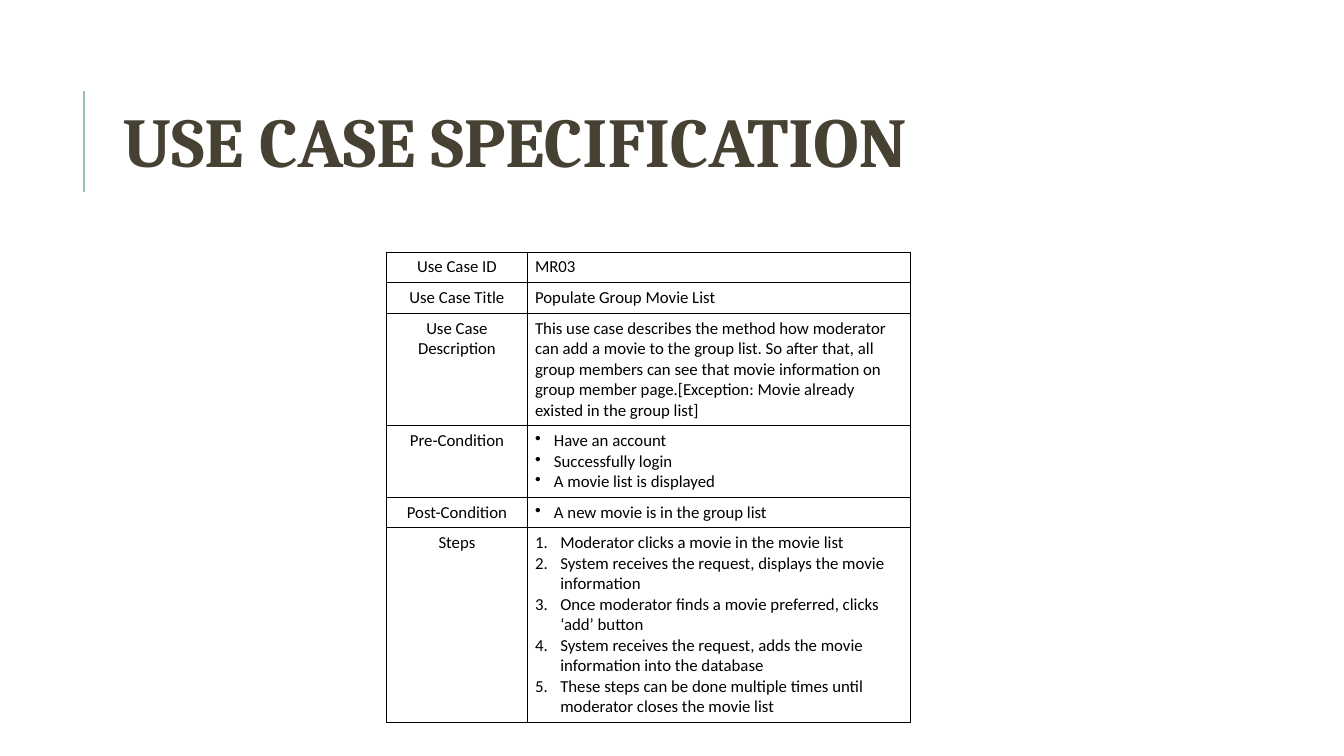
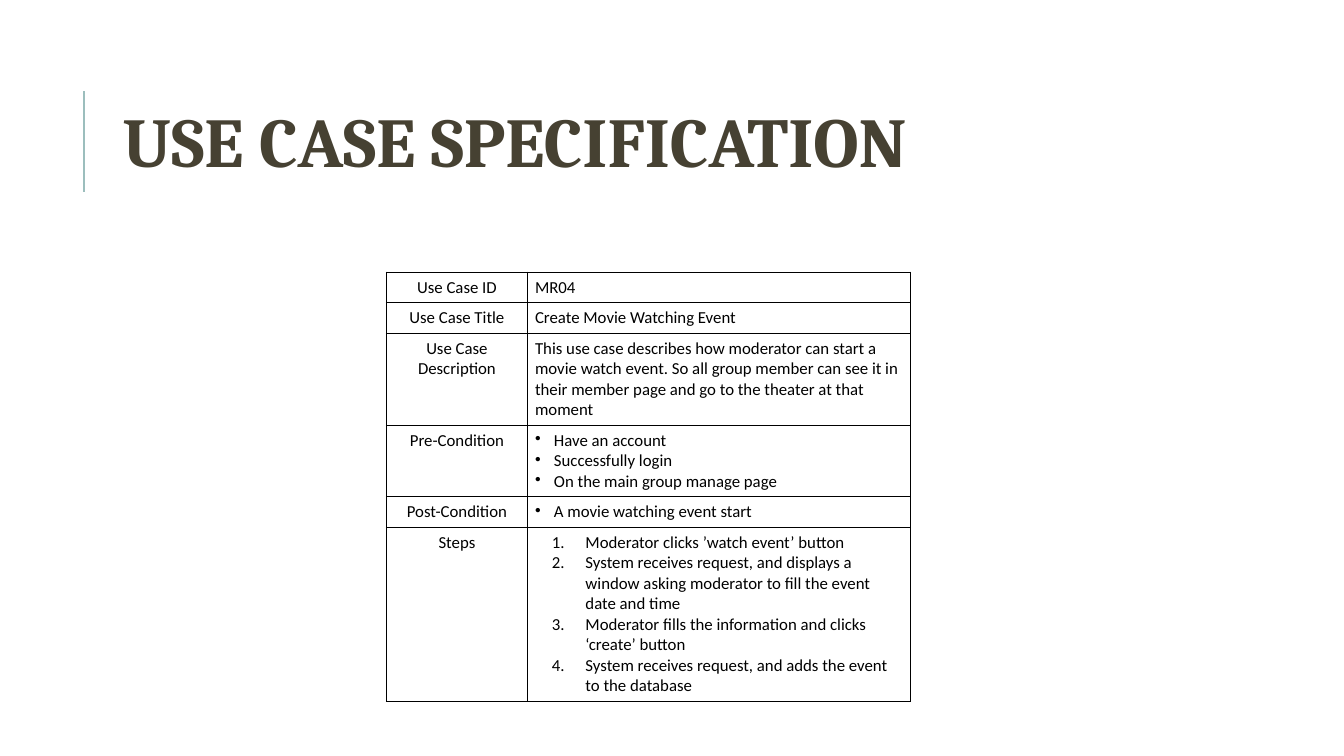
from lxml import etree
from pptx import Presentation
from pptx.dml.color import RGBColor
from pptx.enum.shapes import MSO_CONNECTOR
from pptx.enum.text import MSO_ANCHOR, PP_ALIGN
from pptx.oxml import parse_xml
from pptx.oxml.ns import qn
from pptx.util import Pt

STRAIGHT = MSO_CONNECTOR.STRAIGHT
MIDDLE = MSO_ANCHOR.MIDDLE
LEFT, CENTER = PP_ALIGN.LEFT, PP_ALIGN.CENTER

# Shared style
TITLE = "USE CASE SPECIFICATION"
TITLE_COLOR, ACCENT, BLACK = "464132", "9CBEBD", "000000"
TABLE_LEFT = 276
COLUMN_WIDTHS = (100.8, 273.6)
LINE_HEIGHT, MARGIN_X, MARGIN_Y = 14.64, 5.4, 3.6
NS = 'xmlns:a="http://schemas.openxmlformats.org/drawingml/2006/main"'
BULLET = '<a:buChar %s char="•"/>' % NS
NUMBER = '<a:buAutoNum %s type="arabicPeriod"/>' % NS
BORDER = ('<a:{side} %s w="9525"><a:solidFill><a:srgbClr val="{color}"/>'
          '</a:solidFill></a:{side}>' % NS)

# Each row: label, paragraphs, text lines in the row
# Each list style: marker, left indent, hanging indent
BULLETS = (BULLET, 13.5, 13.5)
LABELS = ("Use Case ID", "Use Case Title", "Use Case Description",
          "Pre-Condition", "Post-Condition", "Steps")
USE_CASES = [
    {
        "top": 180,
        "lines": (1, 1, 5, 3, 1, 9),
        "steps": (NUMBER, 18, 18),
        "details": (
            ["MR03"],
            ["Populate Group Movie List"],
            ["This use case describes the method how moderator can add a movie "
             "to the group list. So after that, all group members can see that "
             "movie information on group member page.[Exception: Movie already "
             "existed in the group list]"],
            ["Have an account", "Successfully login", "A movie list is displayed"],
            ["A new movie is in the group list"],
            ["Moderator clicks a movie in the movie list",
             "System receives the request, displays the movie information",
             "Once moderator finds a movie preferred, clicks ‘add’ button",
             "System receives the request, adds the movie information into the database",
             "These steps can be done multiple times until moderator closes the movie list"],
        ),
    },
    {
        "top": 194.4,
        "lines": (1, 1, 4, 3, 1, 8),
        "steps": (NUMBER, 36, 24),
        "details": (
            ["MR04"],
            ["Create Movie Watching Event"],
            ["This use case describes how moderator can start a movie watch event. "
             "So all group member can see it in their member page and go to the "
             "theater at that moment"],
            ["Have an account", "Successfully login", "On the main group manage page"],
            ["A movie watching event start"],
            ["Moderator clicks ’watch event’ button",
             "System receives request, and displays a window asking moderator to "
             "fill the event date and time",
             "Moderator fills the information and clicks ‘create’ button",
             "System receives request, and adds the event to the database"],
        ),
    },
]


def add_run(paragraph, text, font, size, color, bold=False):
    run = paragraph.add_run()
    run.text = text
    run.font.name = font
    run.font.size = Pt(size)
    run.font.bold = bold
    run.font.color.rgb = RGBColor.from_string(color)


def fill_cell(cell, texts, align, list_style=None):
    cell.margin_left = cell.margin_right = Pt(MARGIN_X)
    cell.margin_top = cell.margin_bottom = Pt(MARGIN_Y)
    for index, text in enumerate(texts):
        frame = cell.text_frame
        paragraph = frame.add_paragraph() if index else frame.paragraphs[0]
        paragraph.alignment = align
        add_run(paragraph, text, "Calibri", 12, BLACK)
        if list_style:
            marker, indent, hanging = list_style
            properties = paragraph._p.get_or_add_pPr()
            properties.set("marL", str(Pt(indent)))
            properties.set("indent", str(-Pt(hanging)))
            properties.append(parse_xml(marker))
    cell_properties = cell._tc.get_or_add_tcPr()
    for side in ("lnL", "lnR", "lnT", "lnB"):
        cell_properties.append(parse_xml(BORDER.format(side=side, color=BLACK)))
    cell.fill.background()


prs = Presentation()
prs.slide_width, prs.slide_height = Pt(960), Pt(540)

for use_case in USE_CASES:
    slide = prs.slides.add_slide(prs.slide_layouts[6])

    # Accent line beside the title
    accent = slide.shapes.add_connector(STRAIGHT, Pt(60), Pt(136.8), Pt(60), Pt(64.8))
    accent.line.color.rgb = RGBColor.from_string(ACCENT)
    accent.line.width = Pt(1.5)
    etree.SubElement(accent._element.spPr, qn("a:effectLst"))

    # Title
    heading = slide.shapes.add_textbox(Pt(80.6), Pt(46), Pt(765.4), Pt(118)).text_frame
    heading.word_wrap = True
    heading.vertical_anchor = MIDDLE
    heading.paragraphs[0].line_spacing = 0.8
    add_run(heading.paragraphs[0], TITLE, "Cambria", 50, TITLE_COLOR, bold=True)

    # Specification table, each row as tall as its text
    heights = [count * LINE_HEIGHT + 2 * MARGIN_Y for count in use_case["lines"]]
    specification = slide.shapes.add_table(
        len(LABELS), 2, Pt(TABLE_LEFT), Pt(use_case["top"]),
        Pt(sum(COLUMN_WIDTHS)), Pt(sum(heights))).table
    specification.first_row = specification.horz_banding = False
    for column, width in zip(specification.columns, COLUMN_WIDTHS):
        column.width = Pt(width)

    list_styles = (None, None, None, BULLETS, BULLETS, use_case["steps"])
    rows = zip(LABELS, use_case["details"], list_styles, heights)
    for index, (label, details, list_style, height) in enumerate(rows):
        specification.rows[index].height = Pt(height)
        fill_cell(specification.cell(index, 0), [label], CENTER)
        fill_cell(specification.cell(index, 1), details, LEFT, list_style)

prs.save("out.pptx")
